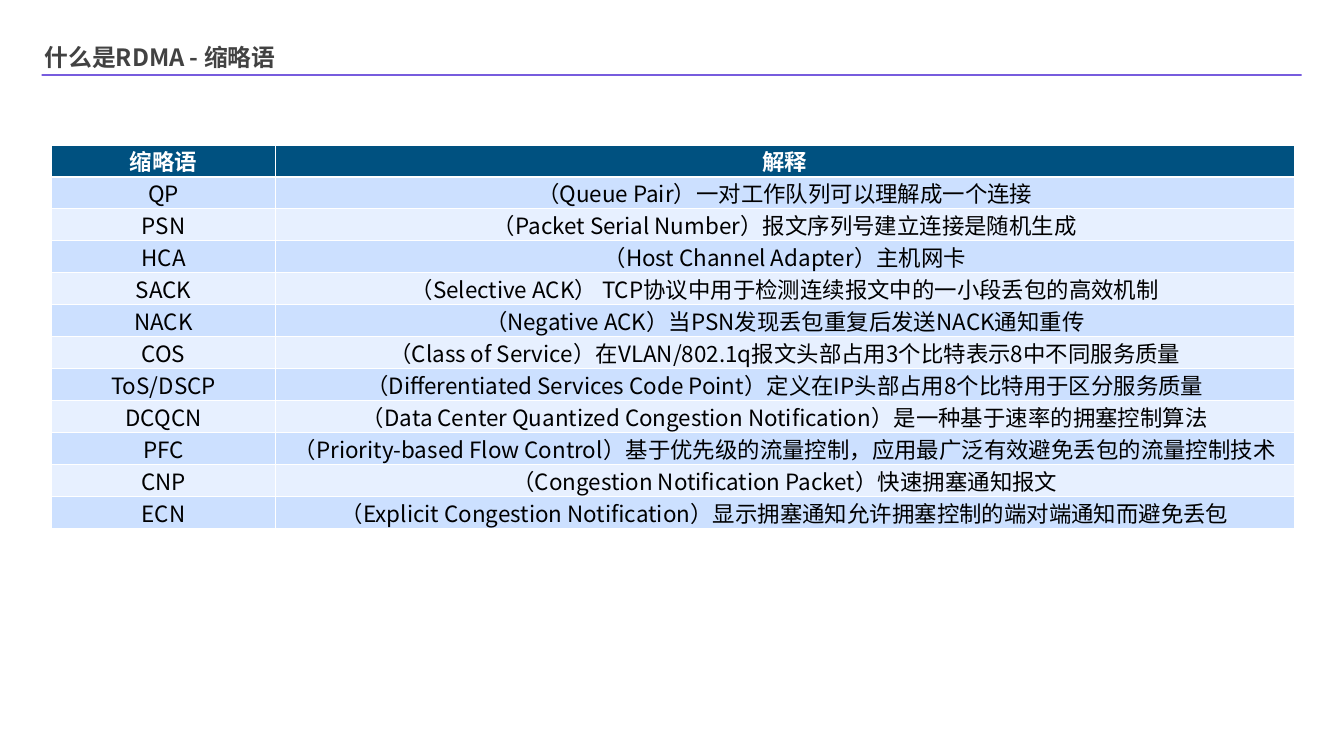
from dataclasses import dataclass

from lxml.etree import SubElement
from pptx import Presentation
from pptx.dml.color import RGBColor as RGB
from pptx.enum.shapes import MSO_SHAPE as SHAPE
from pptx.enum.text import MSO_ANCHOR as ANCHOR, MSO_AUTO_SIZE as AUTO, PP_ALIGN as ALIGN
from pptx.oxml.ns import qn
from pptx.util import Cm, Pt


@dataclass(frozen=True)
class Theme:
    font: str = "Noto Sans CJK SC"
    title: str = "424242"
    rule: str = "775CDE"
    header: str = "005180"
    bands: tuple = ("CCE0FF", "E7F0FF")
    white: str = "FFFFFF"
    body: str = "000000"
    title_size: int = 34
    title_leading: int = 71
    table_size: int = 32


TERMS = [
    ("QP", "（Queue Pair）一对工作队列可以理解成一个连接"),
    ("PSN", "（Packet Serial Number）报文序列号建立连接是随机生成"),
    ("HCA", "（Host Channel Adapter）主机网卡"),
    ("SACK", "（Selective ACK） TCP协议中用于检测连续报文中的一小段丢包的高效机制"),
    ("NACK", "（Negative ACK）当PSN发现丢包重复后发送NACK通知重传"),
    ("COS", "（Class of Service）在VLAN/802.1q报文头部占用3个比特表示8中不同服务质量"),
    ("ToS/DSCP", "（Differentiated Services Code Point）定义在IP头部占用8个比特用于区分服务质量"),
    ("DCQCN", "（Data Center Quantized Congestion Notification）是一种基于速率的拥塞控制算法"),
    ("PFC", "（Priority-based Flow Control）基于优先级的流量控制，应用最广泛有效避免丢包的流量控制技术"),
    ("CNP", "（Congestion Notification Packet）快速拥塞通知报文"),
    ("ECN", "（Explicit Congestion Notification）显示拥塞通知允许拥塞控制的端对端通知而避免丢包"),
]


class Deck:
    def __init__(self, slide, theme):
        self.s = slide
        self.t = theme

    def run(self, p, text, size, color, bold=False):
        r = p.add_run()
        r.text = text
        r.font.size = Pt(size)
        r.font.bold = bold
        r.font.name = self.t.font
        r.font.color.rgb = RGB.from_string(color)
        SubElement(r.font._element, qn("a:ea"), typeface=self.t.font)

    def title(self, text, x, y, w, h):
        tf = self.s.shapes.add_textbox(Cm(x), Cm(y), Cm(w), Cm(h)).text_frame
        tf.word_wrap = False
        tf.auto_size = AUTO.SHAPE_TO_FIT_TEXT
        tf.vertical_anchor = ANCHOR.MIDDLE
        tf.margin_left = tf.margin_right = tf.margin_top = tf.margin_bottom = Cm(0.15)
        p = tf.paragraphs[0]
        p.line_spacing = Pt(self.t.title_leading)
        self.run(p, text, self.t.title_size, self.t.title, bold=True)

    def rule(self, x, y, w, h):
        sp = self.s.shapes.add_shape(SHAPE.RECTANGLE, Cm(x), Cm(y), Cm(w), Cm(h))
        sp.shadow.inherit = False
        sp.fill.solid()
        sp.fill.fore_color.rgb = RGB.from_string(self.t.rule)
        sp.line.fill.background()

    def borders(self, cell, bottom):
        tc_pr = cell._tc.get_or_add_tcPr()
        sides = {"lnL": 1, "lnR": 1, "lnT": 1, "lnB": bottom}
        for i, (side, width) in enumerate(sides.items()):
            ln = tc_pr.makeelement(qn(f"a:{side}"), {"w": str(Pt(width))})
            fill = SubElement(ln, qn("a:solidFill"))
            SubElement(fill, qn("a:srgbClr"), val=self.t.white)
            tc_pr.insert(i, ln)

    def cell(self, cell, text, fill, color, header):
        cell.fill.solid()
        cell.fill.fore_color.rgb = RGB.from_string(fill)
        cell.margin_top = cell.margin_bottom = Cm(0)
        p = cell.text_frame.paragraphs[0]
        p.alignment = ALIGN.CENTER
        self.run(p, text, self.t.table_size, color, bold=header)
        self.borders(cell, bottom=3 if header else 1)

    def table(self, rows, x, y, widths, row_h):
        frame = self.s.shapes.add_table(
            len(rows), len(widths), Cm(x), Cm(y), Cm(sum(widths)), Cm(row_h * len(rows)))
        tbl = frame.table
        for col, width in zip(tbl.columns, widths):
            col.width = Cm(width)
        for i, texts in enumerate(rows):
            tbl.rows[i].height = Cm(row_h)
            header = i == 0
            fill = self.t.header if header else self.t.bands[(i - 1) % 2]
            color = self.t.white if header else self.t.body
            for j, text in enumerate(texts):
                self.cell(tbl.cell(i, j), text, fill, color, header)


def main():
    prs = Presentation()
    prs.slide_width, prs.slide_height = Cm(67.74), Cm(38.1)
    deck = Deck(prs.slides.add_slide(prs.slide_layouts[6]), Theme())
    deck.title("什么是RDMA - 缩略语", 2.1, 0.92, 12.9, 2.82)
    deck.rule(2.1, 3.74, 63.5, 0.08)
    deck.table([("缩略语", "解释")] + TERMS, 2.6, 7.3, (11.29, 51.34), 1.61)
    prs.save("out.pptx")


if __name__ == "__main__":
    main()
